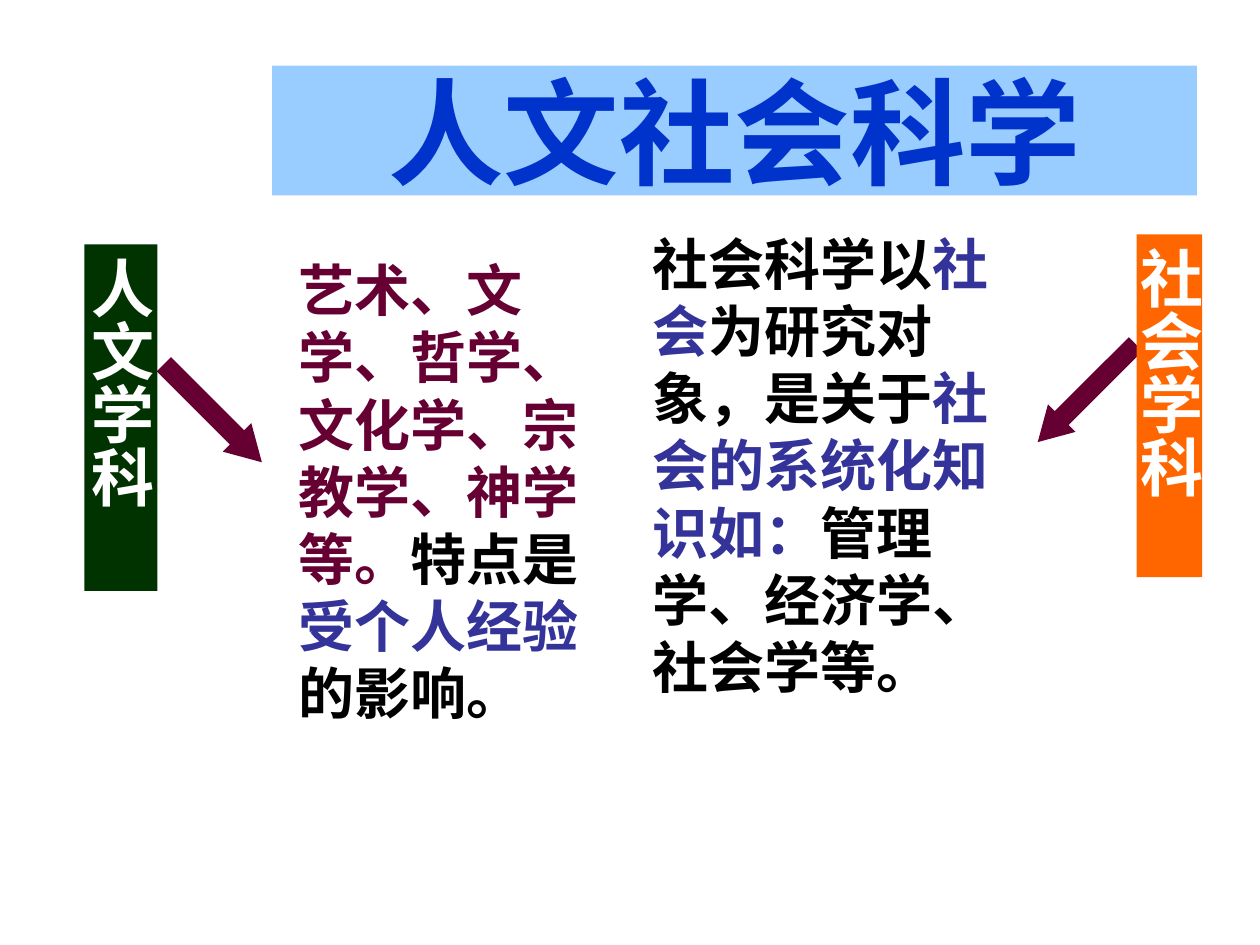
from dataclasses import dataclass

from pptx import Presentation
from pptx.dml.color import RGBColor
from pptx.enum.shapes import MSO_SHAPE
from pptx.enum.text import MSO_ANCHOR, MSO_AUTO_SIZE, PP_ALIGN
from pptx.util import Inches, Pt


@dataclass(frozen=True)
class Theme:
    """Colours, font and type sizes of the slide."""

    font: str = "Arial"
    title_size: int = 66
    label_size: int = 36
    body_size: int = 32
    title_fill: str = "99CCFF"
    title_text: str = "0033CC"
    humanities: str = "003300"
    social: str = "FF6600"
    wine: str = "660033"
    indigo: str = "333399"
    black: str = "000000"
    white: str = "FFFFFF"


class SlideBuilder:
    """Draws styled elements on the current slide."""

    def __init__(self, slide, theme):
        """Keep the slide and its theme."""
        self.slide = slide
        self.theme = theme

    def fill(self, shape, color):
        """Give a shape a plain fill."""
        shape.fill.solid()
        shape.fill.fore_color.rgb = RGBColor.from_string(color)

    def add_runs(self, paragraph, runs, size):
        """Add bold runs of text and colour, without hanging punctuation."""
        paragraph._p.get_or_add_pPr().set("hangingPunct", "0")
        for text, color in runs:
            run = paragraph.add_run()
            run.text = text
            run.font.name = self.theme.font
            run.font.size = Pt(size)
            run.font.bold = True
            run.font.color.rgb = RGBColor.from_string(color)

    def add_preset(self, kind, box, color):
        """Add a filled preset shape without line or shadow."""
        shape = self.slide.shapes.add_shape(kind, *map(Inches, box))
        shape.shadow.inherit = False
        shape.line.fill.background()
        self.fill(shape, color)
        return shape

    def add_title(self, text, box):
        """Place and format the title placeholder."""
        title = self.slide.shapes.title
        title.left, title.top, title.width, title.height = map(Inches, box)
        self.fill(title, self.theme.title_fill)
        frame = title.text_frame
        frame.auto_size = MSO_AUTO_SIZE.NONE
        frame.vertical_anchor = MSO_ANCHOR.MIDDLE
        paragraph = frame.paragraphs[0]
        paragraph.alignment = PP_ALIGN.CENTER
        self.add_runs(paragraph, [(text, self.theme.title_text)], self.theme.title_size)

    def add_arrow(self, box, rotation):
        """Add a rotated block arrow."""
        arrow = self.add_preset(MSO_SHAPE.DOWN_ARROW, box, self.theme.wine)
        arrow.rotation = rotation
        arrow.adjustments[0] = 0.5
        arrow.adjustments[1] = 0.87

    def add_label(self, text, box, color):
        """Add a block with vertical text."""
        frame = self.add_preset(MSO_SHAPE.RECTANGLE, box, color).text_frame
        frame.word_wrap = True
        frame.vertical_anchor = MSO_ANCHOR.MIDDLE
        frame.margin_left = frame.margin_right = Inches(0.05)
        frame.margin_top = frame.margin_bottom = Inches(0.1)
        frame._txBody.bodyPr.set("vert", "eaVert")
        paragraph = frame.paragraphs[0]
        paragraph.alignment = PP_ALIGN.CENTER
        self.add_runs(paragraph, [(text, self.theme.white)], self.theme.label_size)

    def add_text(self, runs, box):
        """Add a wrapping text box of coloured runs."""
        frame = self.slide.shapes.add_textbox(*map(Inches, box)).text_frame
        frame.word_wrap = True
        self.add_runs(frame.paragraphs[0], runs, self.theme.body_size)


def main():
    """Build and save the slide."""
    presentation = Presentation()
    presentation.slide_width = Inches(10)
    presentation.slide_height = Inches(7.5)
    title_only = presentation.slide_layouts.get_by_name("Title Only")
    theme = Theme()
    builder = SlideBuilder(presentation.slides.add_slide(title_only), theme)

    builder.add_title("人文社会科学", (2.16, 0.52, 7.34, 1.03))
    builder.add_arrow((8.47, 2.57, 0.31, 1.1), 45)
    builder.add_arrow((1.53, 2.73, 0.32, 1.1), 315)
    builder.add_label("人文学科", (0.67, 1.94, 0.58, 2.75), theme.humanities)
    builder.add_label("社会学科", (9.02, 1.86, 0.52, 2.72), theme.social)
    builder.add_text(
        [
            ("艺术、文学、哲学、文化学、宗教学、神学等。", theme.wine),
            ("特点是", theme.black),
            ("受个人经验", theme.indigo),
            ("的影响。", theme.black),
        ],
        (2.27, 1.98, 2.68, 3.3),
    )
    builder.add_text(
        [
            ("社会科学以", theme.black),
            ("社会", theme.indigo),
            ("为研究对象，是关于", theme.black),
            ("社会的系统化知识如：", theme.indigo),
            ("管理学、经济学、社会学等。", theme.black),
        ],
        (5.08, 1.77, 3.3, 3.3),
    )
    presentation.save("out.pptx")


if __name__ == "__main__":
    main()
